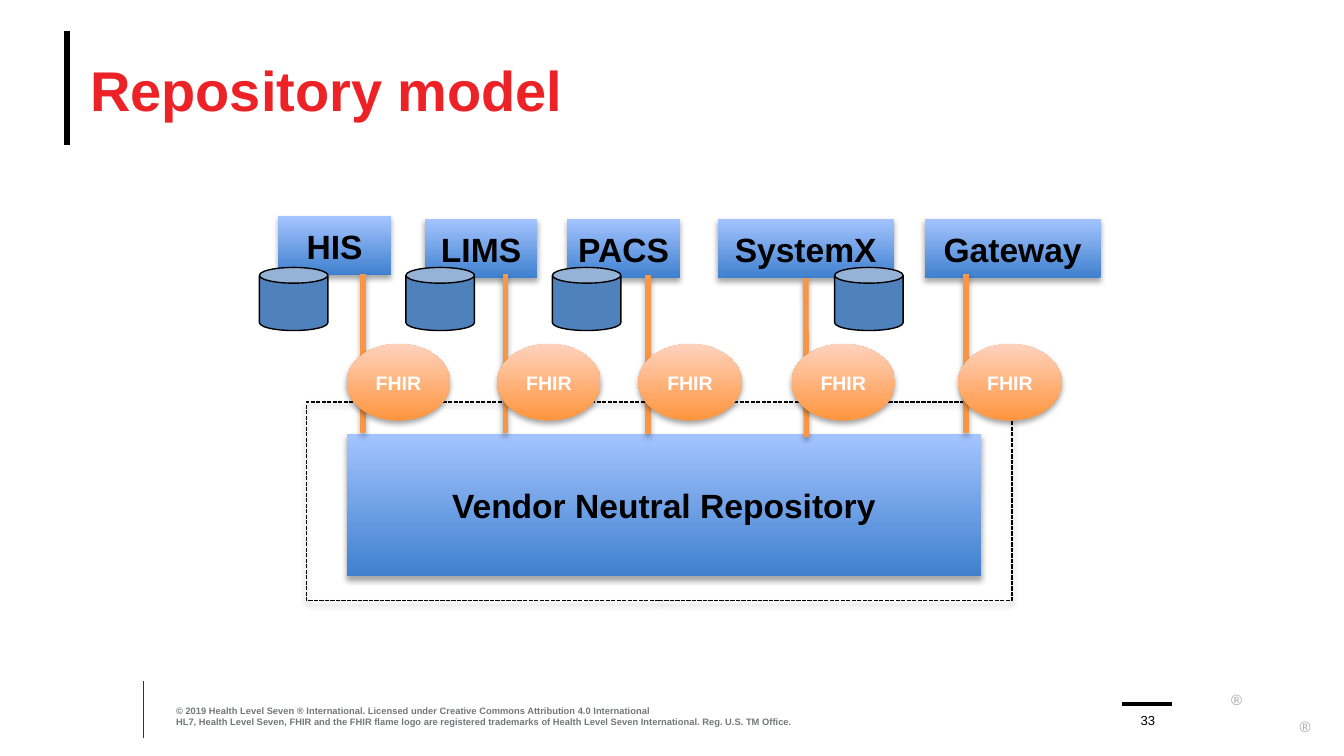
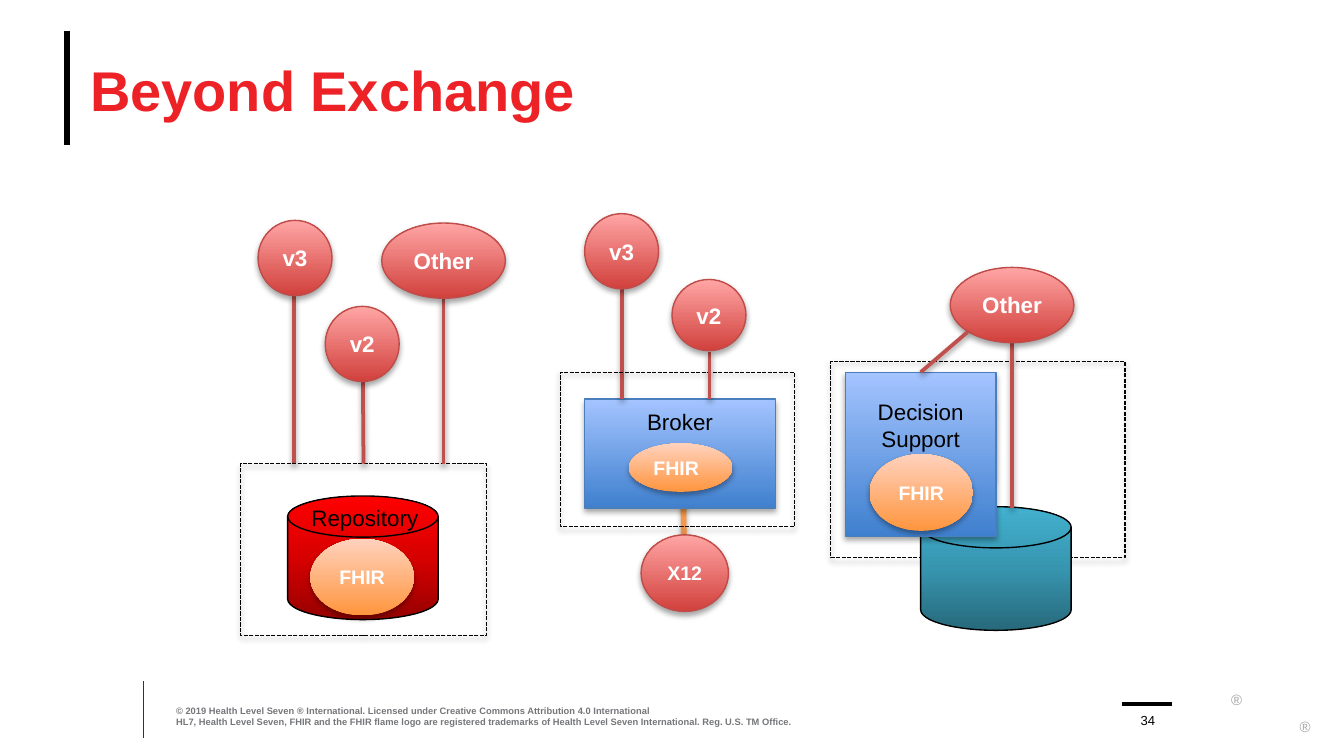
from copy import deepcopy
from dataclasses import dataclass, replace
from typing import Any, Optional, Union

from lxml import etree
from pptx import Presentation
from pptx import util as u
from pptx.dml.color import RGBColor
from pptx.enum import dml, shapes, text
from pptx.oxml.ns import qn

FONT = "Arial"
SLIDE_WIDTH = u.Inches(10)
SLIDE_HEIGHT = SLIDE_WIDTH * 9 // 16
BLACK, WHITE = "000000", "FFFFFF"
RED, GREY, LIGHT_GREY, BROWN = "EC2227", "747679", "A6A6A6", "3D3029"
FOOTER = (
    "© 2019 Health Level Seven ® International. Licensed under Creative Commons Attribution 4.0 International",
    "HL7, Health Level Seven, FHIR and the FHIR flame logo are registered trademarks of "
    "Health Level Seven International. Reg. U.S. TM Office.",
)
Insets = tuple[float, float, float, float]
NO_INSETS: Insets = (0, 0, 0, 0)
NODE_INSETS: Insets = (0.07, 0.04, 0.07, 0.04)
LEFT, CENTER = text.PP_ALIGN.LEFT, text.PP_ALIGN.CENTER
TOP, MIDDLE, BOTTOM = text.MSO_ANCHOR.TOP, text.MSO_ANCHOR.MIDDLE, text.MSO_ANCHOR.BOTTOM


@dataclass(frozen=True)
class Shadow:
    opacity: int
    distance: float


@dataclass(frozen=True)
class TextStyle:
    size: float
    color: str
    bold: bool = False
    align: Any = CENTER
    anchor: Any = MIDDLE
    insets: Insets = NODE_INSETS
    wrap: bool = True


@dataclass(frozen=True)
class NodeStyle:
    preset: Any
    fill: tuple[str, ...] = ()
    line: Optional[str] = None
    dashed: bool = False
    shadow: Optional[Shadow] = None
    text: Optional[TextStyle] = None


@dataclass(frozen=True)
class LinkStyle:
    color: str
    width: float
    shadow: Optional[Shadow] = None


@dataclass(frozen=True)
class Node:
    style: NodeStyle
    left: float
    top: float
    width: float
    height: float
    label: str = ""


@dataclass(frozen=True)
class Link:
    style: LinkStyle
    start: tuple[float, float]
    end: tuple[float, float]
    start_node: Optional[Node] = None
    start_site: int = 0
    end_node: Optional[Node] = None
    end_site: int = 2


@dataclass(frozen=True)
class Label:
    style: TextStyle
    left: float
    top: float
    width: float
    height: float
    lines: tuple[str, ...]


@dataclass(frozen=True)
class System:
    name: str
    left: float
    top: float
    width: float
    link_x: float
    link_top: float
    fhir_left: float
    disk_left: Optional[float] = None


Item = Union[Node, Link, Label]

SOFT, FAINT = Shadow(35, 1.8), Shadow(38, 1.6)
TITLE = TextStyle(30, RED, True, LEFT, insets=NO_INSETS)
FOOTNOTE = TextStyle(5, GREY, True, LEFT, BOTTOM, NO_INSETS)
PAGE_NUMBER = TextStyle(7, BLACK, anchor=BOTTOM, insets=NO_INSETS)
MARK = TextStyle(8, LIGHT_GREY, align=LEFT, anchor=TOP, insets=(0, 0.04, 0, 0), wrap=False)
CAPTION = TextStyle(12, BLACK, anchor=TOP, insets=(0.1, 0.05, 0.1, 0.05))
BADGE_TEXT = TextStyle(10.5, WHITE, True)

RECTANGLE, OVAL = shapes.MSO_SHAPE.RECTANGLE, shapes.MSO_SHAPE.OVAL
DISK = shapes.MSO_SHAPE.FLOWCHART_MAGNETIC_DISK
BLUE_FILL = ("3F80CE", "A4C4FF")
SYSTEM = NodeStyle(RECTANGLE, BLUE_FILL, shadow=SOFT, text=TextStyle(18, BLACK, True))
BROKER = NodeStyle(RECTANGLE, BLUE_FILL, "4B7EBC", shadow=SOFT,
                   text=replace(CAPTION, insets=(0.07, 0.07, 0.07, 0.04)))
DECISION = replace(BROKER, text=replace(CAPTION, insets=(0.07, 0.19, 0.07, 0.04)))
BOUNDARY = NodeStyle(RECTANGLE, line=BLACK, dashed=True, shadow=FAINT)
FHIR = NodeStyle(OVAL, ("FF953E", "FFD2BD"), shadow=SOFT, text=BADGE_TEXT)
FHIR_LEFT = replace(FHIR, text=replace(BADGE_TEXT, align=LEFT))
MESSAGE = NodeStyle(OVAL, ("D1403C", "FFA6A5"), "BF4C48", shadow=SOFT,
                    text=TextStyle(12, WHITE, True))
MESSAGE_SMALL = replace(MESSAGE, text=BADGE_TEXT)
CAN = NodeStyle(shapes.MSO_SHAPE.CAN, ("4F81BD",), BLACK)
RED_DISK = NodeStyle(DISK, ("970000", "D70000", "FF0000"), BLACK)
TEAL_DISK = NodeStyle(DISK, ("27697B", "3795AF", "42B1CF"), BLACK)
ORANGE_LINK = LinkStyle("F79646", 3, SOFT)
RED_LINK = LinkStyle("C0504D", 2, FAINT)

FRAME = (
    Link(LinkStyle(BLACK, 3.25), (0.5, 0.23), (0.5, 1.08)),
    Link(LinkStyle(BROWN, 0.5), (1.07, 5.07), (1.07, 5.49)),
    Link(LinkStyle(BLACK, 2), (8.35, 5.24), (8.72, 5.24)),
    Label(MARK, 9.16, 5.1, 0.11, 0.09, ("®",)),
    Label(MARK, 9.67, 5.3, 0.09, 0.09, ("®",)),
    Label(FOOTNOTE, 1.31, 5.24, 4.95, 0.17, FOOTER),
)
SYSTEMS = (
    System("HIS", 2.07, 1.61, 0.84, 2.7, 2.04, 2.58, 1.93),
    System("LIMS", 3.16, 1.63, 0.84, 3.76, 2.04, 3.7, 3.02),
    System("PACS", 4.22, 1.63, 0.84, 4.82, 2.05, 4.75, 4.11),
    System("SystemX", 5.34, 1.63, 1.31, 6, 2.07, 5.89, 6.21),
    System("Gateway", 6.88, 1.63, 1.31, 7.19, 2.04, 7.13),
)
LINK_LENGTH = 1.18


def rgb(color: str) -> RGBColor:
    return RGBColor.from_string(color)


def set_values(target: Any, values: dict[str, Any]) -> None:
    for name, value in values.items():
        setattr(target, name, value)


def write_text(shape: Any, lines: tuple[str, ...], style: TextStyle) -> None:
    frame = shape.text_frame
    left, top, right, bottom = (u.Inches(inset) for inset in style.insets)
    set_values(frame, {
        "auto_size": text.MSO_AUTO_SIZE.NONE, "word_wrap": style.wrap,
        "vertical_anchor": style.anchor, "margin_left": left, "margin_top": top,
        "margin_right": right, "margin_bottom": bottom,
    })
    for index, line in enumerate(lines):
        paragraph = frame.add_paragraph() if index else frame.paragraphs[0]
        paragraph.alignment = style.align
        run = paragraph.add_run()
        run.text = line
        set_values(run.font, {"name": FONT, "size": u.Pt(style.size), "bold": style.bold})
        run.font.color.rgb = rgb(style.color)


def add_shadow(effects: Any, shadow: Optional[Shadow]) -> None:
    if shadow is None:
        return
    outer = etree.SubElement(effects, qn("a:outerShdw"), {
        "blurRad": str(u.Pt(3.1)), "dist": str(u.Pt(shadow.distance)),
        "dir": "5400000", "rotWithShape": "0",
    })
    color = etree.SubElement(outer, qn("a:srgbClr"), {"val": BLACK})
    etree.SubElement(color, qn("a:alpha"), {"val": str(shadow.opacity * 1000)})


def paint(shape: Any, colors: tuple[str, ...]) -> None:
    fill = shape.fill
    if not colors:
        fill.background()
    elif len(colors) == 1:
        fill.solid()
        fill.fore_color.rgb = rgb(colors[0])
    else:
        fill.gradient()
        fill.gradient_angle = 90
        stop_list = shape.element.spPr.find(qn("a:gradFill")).find(qn("a:gsLst"))
        for _ in colors[2:]:
            stop_list.append(deepcopy(stop_list[0]))
        for index, (stop, color) in enumerate(zip(fill.gradient_stops, colors)):
            stop.position = index / (len(colors) - 1)
            stop.color.rgb = rgb(color)


def draw_node(slide: Any, node: Node) -> Any:
    style = node.style
    box = (u.Inches(v) for v in (node.left, node.top, node.width, node.height))
    shape = slide.shapes.add_shape(style.preset, *box)
    paint(shape, style.fill)
    if style.line:
        shape.line.color.rgb = rgb(style.line)
        shape.line.width = u.Pt(0.75)
        if style.dashed:
            shape.line.dash_style = dml.MSO_LINE.SQUARE_DOT
    else:
        shape.line.fill.background()
    shape.shadow.inherit = False
    add_shadow(shape.element.spPr.find(qn("a:effectLst")), style.shadow)
    if node.label and style.text:
        write_text(shape, (node.label,), style.text)
    return shape


def draw_link(slide: Any, link: Link, drawn: dict[Node, Any]) -> None:
    ends = (u.Inches(v) for v in (*link.start, *link.end))
    connector = slide.shapes.add_connector(shapes.MSO_CONNECTOR.STRAIGHT, *ends)
    connector.line.color.rgb = rgb(link.style.color)
    connector.line.width = u.Pt(link.style.width)
    add_shadow(etree.SubElement(connector.element.spPr, qn("a:effectLst")), link.style.shadow)
    if link.start_node:
        connector.begin_connect(drawn[link.start_node], link.start_site)
    if link.end_node:
        connector.end_connect(drawn[link.end_node], link.end_site)


def draw_label(slide: Any, label: Label) -> None:
    box = (u.Inches(v) for v in (label.left, label.top, label.width, label.height))
    write_text(slide.shapes.add_textbox(*box), label.lines, label.style)


def draw_items(slide: Any, items: tuple[Item, ...]) -> None:
    drawn: dict[Node, Any] = {}
    for item in items:
        if isinstance(item, Node):
            drawn[item] = draw_node(slide, item)
        elif isinstance(item, Link):
            draw_link(slide, item, drawn)
        else:
            draw_label(slide, item)


def add_slide(presentation: Any, title: str, number: int, items: tuple[Item, ...]) -> None:
    slide = presentation.slides.add_slide(presentation.slide_layouts[5])
    set_values(slide.shapes.title, {
        "left": u.Inches(0.67), "top": u.Inches(0.23),
        "width": u.Inches(9), "height": u.Inches(0.86),
    })
    write_text(slide.shapes.title, (title,), TITLE)
    page = Label(PAGE_NUMBER, 8.39, 5.25, 0.3, 0.17, (str(number),))
    draw_items(slide, (*FRAME, page, *items))


def fhir(left: float, top: float) -> Node:
    return Node(FHIR, left, top, 0.77, 0.57, "FHIR")


def message(label: str, left: float, top: float, height: float = 0.56) -> Node:
    return Node(MESSAGE, left, top, 0.92 if label == "Other" else 0.55, height, label)


def system_link(system: System, box: Node) -> Link:
    centred = abs(box.left + box.width / 2 - system.link_x) < 0.01
    return Link(ORANGE_LINK, (system.link_x, system.link_top + LINK_LENGTH),
                (system.link_x, system.link_top), end_node=box if centred else None)


def repository_items() -> tuple[Item, ...]:
    boxes = [Node(SYSTEM, s.left, s.top, s.width, 0.44, s.name) for s in SYSTEMS]
    return (
        Node(SYSTEM, 2.58, 3.23, 4.72, 1.06, "Vendor Neutral Repository"),
        Node(BOUNDARY, 2.28, 2.99, 5.25, 1.48),
        *boxes,
        *(Node(CAN, s.disk_left, 1.99, 0.51, 0.47) for s in SYSTEMS if s.disk_left),
        *(system_link(s, box) for s, box in zip(SYSTEMS, boxes)),
        *(fhir(s.fhir_left, 2.56) for s in SYSTEMS),
    )


def exchange_items() -> tuple[Item, ...]:
    store = Node(BOUNDARY, 1.79, 3.45, 1.83, 1.28)
    decision = Node(DECISION, 6.29, 2.77, 1.12, 1.22, "Decision Support")
    return (
        Node(RED_DISK, 2.14, 3.69, 1.12, 0.92),
        Link(RED_LINK, (2.19, 3.45), (2.19, 2.2)),
        message("v3", 1.92, 1.64),
        store,
        Link(RED_LINK, (2.71, 3.45), (2.7, 2.84), store),
        message("v2", 2.42, 2.28),
        Node(BOUNDARY, 6.18, 2.69, 2.19, 1.46),
        Link(ORANGE_LINK, (7.38, 3.57), (7.38, 2.97)),
        Link(RED_LINK, (3.3, 3.45), (3.3, 2.22)),
        message("Other", 2.84, 1.66),
        Link(ORANGE_LINK, (5.09, 4.17), (5.08, 3.3)),
        Node(MESSAGE_SMALL, 4.77, 3.98, 0.65, 0.57, "X12"),
        Node(BROKER, 4.35, 2.97, 1.42, 0.81, "Broker"),
        Link(RED_LINK, (4.63, 2.97), (4.63, 2.15)),
        message("v3", 4.35, 1.59),
        Node(BOUNDARY, 4.17, 2.77, 1.74, 1.15),
        Link(RED_LINK, (5.28, 2.97), (5.28, 2.62)),
        message("v2", 5, 2.08, 0.53),
        Node(FHIR_LEFT, 4.68, 3.3, 0.77, 0.36, "FHIR"),
        Label(CAPTION, 2.17, 3.7, 1.09, 0.3, ("Repository",)),
        Node(TEAL_DISK, 6.85, 3.77, 1.12, 0.92),
        decision,
        fhir(6.47, 3.38),
        fhir(2.31, 4.01),
        Link(RED_LINK, (7.53, 3.78), (7.53, 2.55)),
        message("Other", 7.07, 1.99),
        Link(RED_LINK, (6.85, 2.77), (7.2, 2.47), decision),
    )


def main() -> None:
    presentation = Presentation()
    set_values(presentation, {"slide_width": SLIDE_WIDTH, "slide_height": SLIDE_HEIGHT})
    add_slide(presentation, "Repository model", 33, repository_items())
    add_slide(presentation, "Beyond Exchange", 34, exchange_items())
    presentation.save("out.pptx")


if __name__ == "__main__":
    main()
